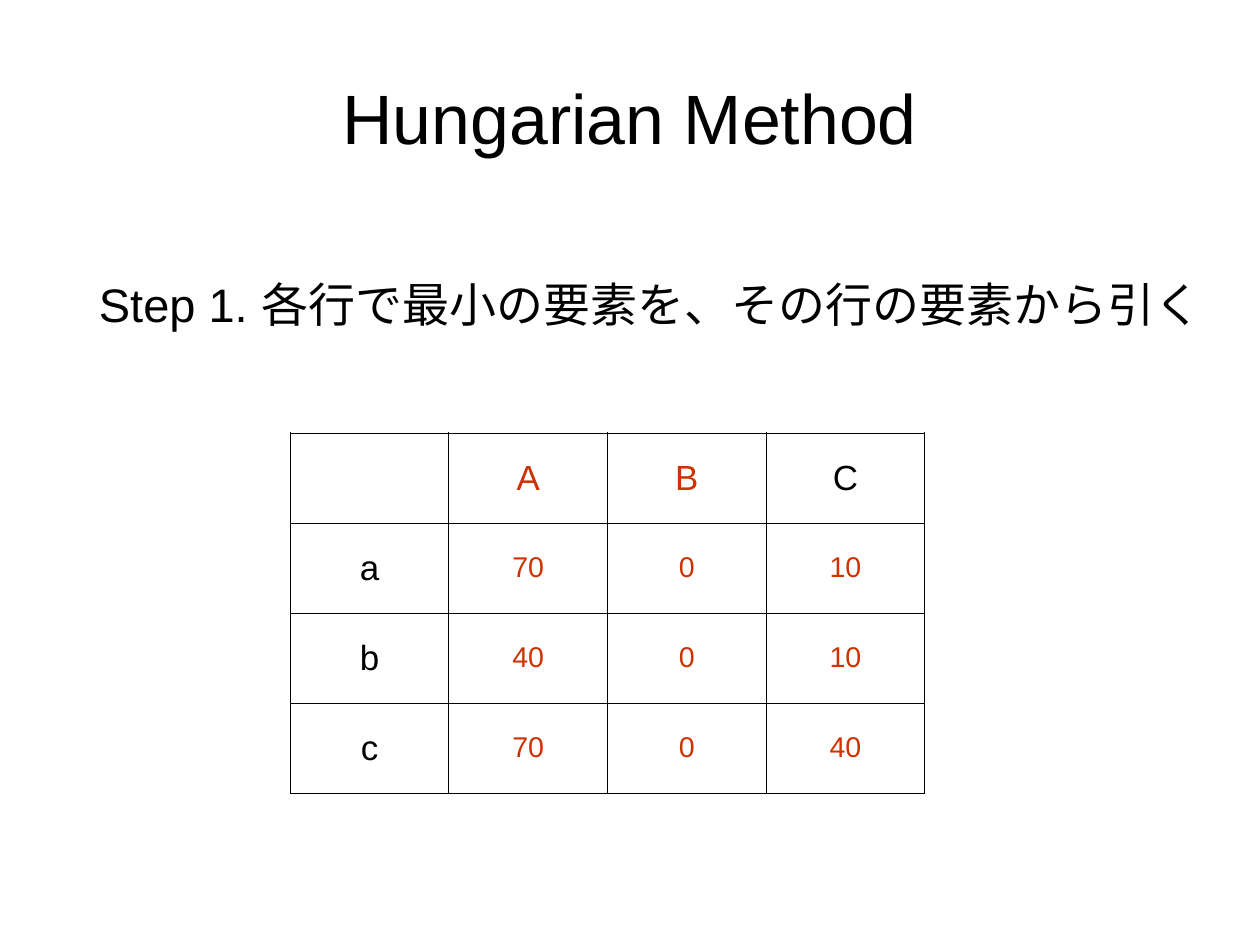
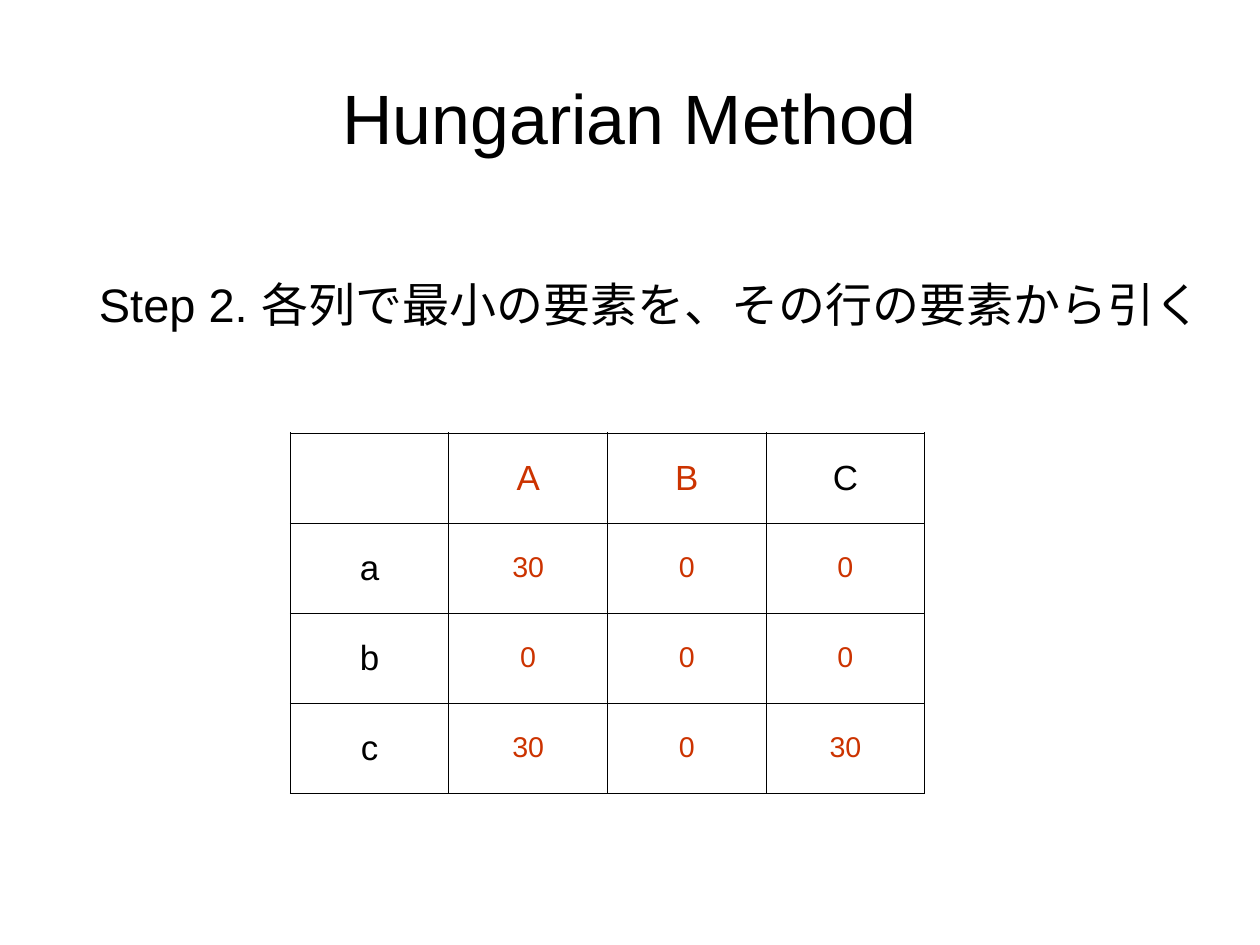
from dataclasses import dataclass

import pptx
import pptx.dml.color
import pptx.enum.text
import pptx.oxml.ns
import pptx.slide
import pptx.table
import pptx.text.text
import pptx.util
from lxml import etree

BLACK = pptx.dml.color.RGBColor(0x00, 0x00, 0x00)
WHITE = pptx.dml.color.RGBColor(0xFF, 0xFF, 0xFF)
RED = pptx.dml.color.RGBColor(0xCC, 0x33, 0x00)
FONT = "Arial"

GRID_COLUMNS, GRID_ROWS = 28, 21
UNIT = pptx.util.Cm(1)

TITLE = "Hungarian Method"
TITLE_SIZE, STEP_SIZE, HEADING_SIZE, VALUE_SIZE = 44, 29.6, 22, 18
STEP_INDENT = 1.2
BORDER_WIDTH = 0.57

COLUMN_HEADINGS = {"A": RED, "B": RED, "C": BLACK}
ROW_HEADINGS = ("a", "b", "c")


@dataclass(frozen=True)
class Area:
    """A rectangle in columns and rows of the slide's square grid."""
    left: float
    top: float
    width: float
    height: float

    def lengths(self) -> tuple[int, ...]:
        sides = (self.left, self.top, self.width, self.height)
        return tuple(round(side * UNIT) for side in sides)


TITLE_AREA = Area(1.4, 0.84, 25.2, 3.5)
STEP_AREA = Area(1, 6.12, 26.2, 1.5)
TABLE_AREA = Area(6.45, 9.62, 14.1, 8)


@dataclass(frozen=True)
class Step:
    instruction: str
    costs: tuple[tuple[int, ...], ...]


STEPS = (
    Step("Step 1. 各行で最小の要素を、その行の要素から引く",
         ((70, 0, 10), (40, 0, 10), (70, 0, 40))),
    Step("Step 2. 各列で最小の要素を、その行の要素から引く",
         ((30, 0, 0), (0, 0, 0), (30, 0, 30))),
)


def add_span(para: pptx.text.text._Paragraph, text: str, size: float,
             color: pptx.dml.color.RGBColor = BLACK) -> None:
    span = para.add_run()
    span.text = text
    span.font.name = FONT
    span.font.size = pptx.util.Pt(size)
    span.font.color.rgb = color


def add_box(slide: pptx.slide.Slide, area: Area) -> pptx.text.text.TextFrame:
    """Add a wrapping text box without insets and return its frame."""
    frame = slide.shapes.add_textbox(*area.lengths()).text_frame
    frame.word_wrap = True
    frame.margin_left = frame.margin_right = 0
    frame.margin_top = frame.margin_bottom = 0
    return frame


def add_title(slide: pptx.slide.Slide) -> None:
    frame = add_box(slide, TITLE_AREA)
    frame.vertical_anchor = pptx.enum.text.MSO_ANCHOR.MIDDLE
    para = frame.paragraphs[0]
    para.alignment = pptx.enum.text.PP_ALIGN.CENTER
    add_span(para, TITLE, TITLE_SIZE)


def add_instruction(slide: pptx.slide.Slide, step: Step) -> None:
    para = add_box(slide, STEP_AREA).paragraphs[0]
    para.space_before = pptx.util.Pt(14.2)
    properties = para._p.get_or_add_pPr()
    properties.set("marL", str(round(STEP_INDENT * UNIT)))
    properties.set("indent", "0")
    add_span(para, step.instruction, STEP_SIZE)


def set_borders(cell: pptx.table._Cell) -> None:
    qn = pptx.oxml.ns.qn
    properties = cell._tc.get_or_add_tcPr()
    for position, side in enumerate(("a:lnL", "a:lnR", "a:lnT", "a:lnB")):
        line = etree.Element(qn(side), w=str(pptx.util.Pt(BORDER_WIDTH)))
        fill = etree.SubElement(line, qn("a:solidFill"))
        etree.SubElement(fill, qn("a:srgbClr"), val=str(BLACK))
        properties.insert(position, line)


def fill_cell(cell: pptx.table._Cell, text: str, size: float,
              color: pptx.dml.color.RGBColor) -> None:
    para = cell.text_frame.paragraphs[0]
    para.alignment = pptx.enum.text.PP_ALIGN.CENTER
    add_span(para, text, size, color)


def add_cost_table(slide: pptx.slide.Slide, step: Step) -> None:
    row_count, column_count = len(ROW_HEADINGS) + 1, len(COLUMN_HEADINGS) + 1
    table = slide.shapes.add_table(
        row_count, column_count, *TABLE_AREA.lengths()).table
    table.first_row = table.horz_banding = False
    for cell in table.iter_cells():
        cell.fill.solid()
        cell.fill.fore_color.rgb = WHITE
        cell.vertical_anchor = pptx.enum.text.MSO_ANCHOR.MIDDLE
        set_borders(cell)
    for column, (heading, color) in enumerate(COLUMN_HEADINGS.items(), 1):
        fill_cell(table.cell(0, column), heading, HEADING_SIZE, color)
    for row, (heading, costs) in enumerate(zip(ROW_HEADINGS, step.costs), 1):
        fill_cell(table.cell(row, 0), heading, HEADING_SIZE, BLACK)
        for column, cost in enumerate(costs, 1):
            fill_cell(table.cell(row, column), str(cost), VALUE_SIZE, RED)


def main() -> None:
    deck = pptx.Presentation()
    deck.slide_width = GRID_COLUMNS * UNIT
    deck.slide_height = GRID_ROWS * UNIT
    for step in STEPS:
        slide = deck.slides.add_slide(deck.slide_layouts[6])
        add_title(slide)
        add_instruction(slide, step)
        add_cost_table(slide, step)
    deck.save("out.pptx")


if __name__ == "__main__":
    main()
